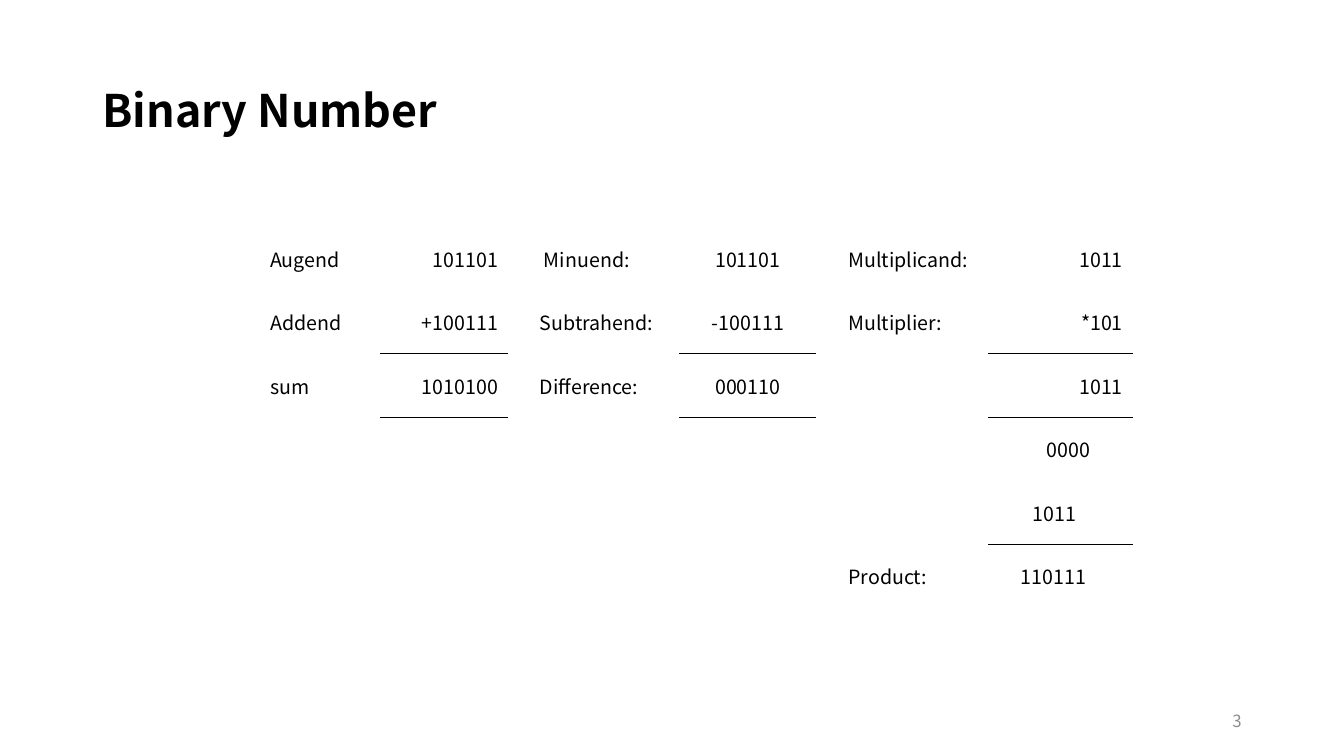
from dataclasses import dataclass

from lxml.etree import SubElement
from pptx import Presentation
from pptx.dml.color import RGBColor
from pptx.enum.text import MSO_ANCHOR as ANCHOR, PP_ALIGN as ALIGN
from pptx.oxml import parse_xml
from pptx.oxml.ns import nsdecls, qn
from pptx.util import Pt


@dataclass(frozen=True)
class Theme:
    font: str = "Noto Sans CJK KR"
    ink: str = "000000"
    muted: str = "8C8C8C"
    title: int = 32
    body: int = 14
    number: int = 12
    rule: int = 1


THEME = Theme()
NO_GRID = "{2D5ABB26-0587-4C30-8999-92F81FD0307C}"

# Table geometry in points
COLUMNS = [85.7, 91.4, 122.4, 97.9, 122.4, 103.7]
ROW_HEIGHT = 45.36
COLUMN_ALIGN = [ALIGN.LEFT, ALIGN.RIGHT, ALIGN.LEFT, ALIGN.CENTER,
                ALIGN.LEFT, ALIGN.RIGHT]
LABEL_INDENT = 22.8
COLUMN_MARGIN = {2: LABEL_INDENT, 4: LABEL_INDENT}

ARITHMETIC = [
    ["Augend", "101101", "Minuend:", "101101", "Multiplicand:", "1011"],
    ["Addend", "+100111", "Subtrahend:", "-100111", "Multiplier:", "*101"],
    ["sum", "1010100", "Difference:", "000110", "", "1011"],
    ["", "", "", "", "", "0000"],
    ["", "", "", "", "", "1011"],
    ["", "", "", "", "Product:", "110111"],
]
# Cells that stand off their column: (row, column) -> left or right margin
LEFT_MARGIN = {(0, 2): 25.7}
RIGHT_MARGIN = {(3, 5): 30.6, (4, 5): 40.6, (5, 5): 33.4}
# Rules under the operands: (row above, column)
RULES = [(1, 1), (1, 3), (1, 5), (4, 5)]


def style(p, size, color, align=ALIGN.LEFT, bold=False):
    p.alignment = align
    p.font.name = THEME.font
    p.font.size = Pt(size)
    p.font.bold = bold
    p.font.color.rgb = RGBColor.from_string(color)


def add_text(slide, box, text, size, color, **look):
    tf = slide.shapes.add_textbox(*map(Pt, box)).text_frame
    tf.word_wrap = True
    tf.vertical_anchor = ANCHOR.MIDDLE
    p = tf.paragraphs[0]
    p.text = text
    style(p, size, color, **look)
    return p


def add_border(cell, side):
    """Draw one cell border; borders precede the fill in tcPr."""
    line = parse_xml(f'<a:{side} {nsdecls("a")} w="{Pt(THEME.rule)}"/>')
    fill = SubElement(line, qn("a:solidFill"))
    SubElement(fill, qn("a:srgbClr"), val=THEME.ink)
    cell._tc.get_or_add_tcPr().insert(0, line)


def add_arithmetic(slide, left, top):
    rows = len(ARITHMETIC)
    frame = slide.shapes.add_table(rows, len(COLUMNS), Pt(left), Pt(top),
                                   Pt(sum(COLUMNS)), Pt(ROW_HEIGHT * rows))
    table = frame.table
    table.first_row = table.horz_banding = False
    table._tbl.tblPr.find(qn("a:tableStyleId")).text = NO_GRID
    for column, width in zip(table.columns, COLUMNS):
        column.width = Pt(width)

    # Cell text
    for r, row in enumerate(ARITHMETIC):
        for c, text in enumerate(row):
            cell = table.cell(r, c)
            cell.fill.background()
            cell.vertical_anchor = ANCHOR.MIDDLE
            cell.margin_left = Pt(LEFT_MARGIN.get((r, c), COLUMN_MARGIN.get(c, 7.2)))
            cell.margin_right = Pt(RIGHT_MARGIN.get((r, c), 7.2))
            p = cell.text_frame.paragraphs[0]
            p.text = text
            style(p, THEME.body, THEME.ink, COLUMN_ALIGN[c])

    # Each rule is shared by the cells above and below it
    for r, c in RULES:
        add_border(table.cell(r, c), "lnB")
        add_border(table.cell(r + 1, c), "lnT")


def binary_slide(prs):
    slide = prs.slides.add_slide(prs.slide_layouts[6])
    # Title
    title = add_text(slide, (66, 28.8, 828, 104.4), "Binary Number",
                     THEME.title, THEME.ink, bold=True)
    title.line_spacing = 0.9
    # Worked sums
    add_arithmetic(slide, 185.8, 162)
    # Page number
    add_text(slide, (678, 500.4, 216, 28.8), "3", THEME.number, THEME.muted,
             align=ALIGN.RIGHT)


def main():
    prs = Presentation()
    prs.slide_width, prs.slide_height = Pt(960), Pt(540)
    binary_slide(prs)
    prs.save("out.pptx")


if __name__ == "__main__":
    main()
